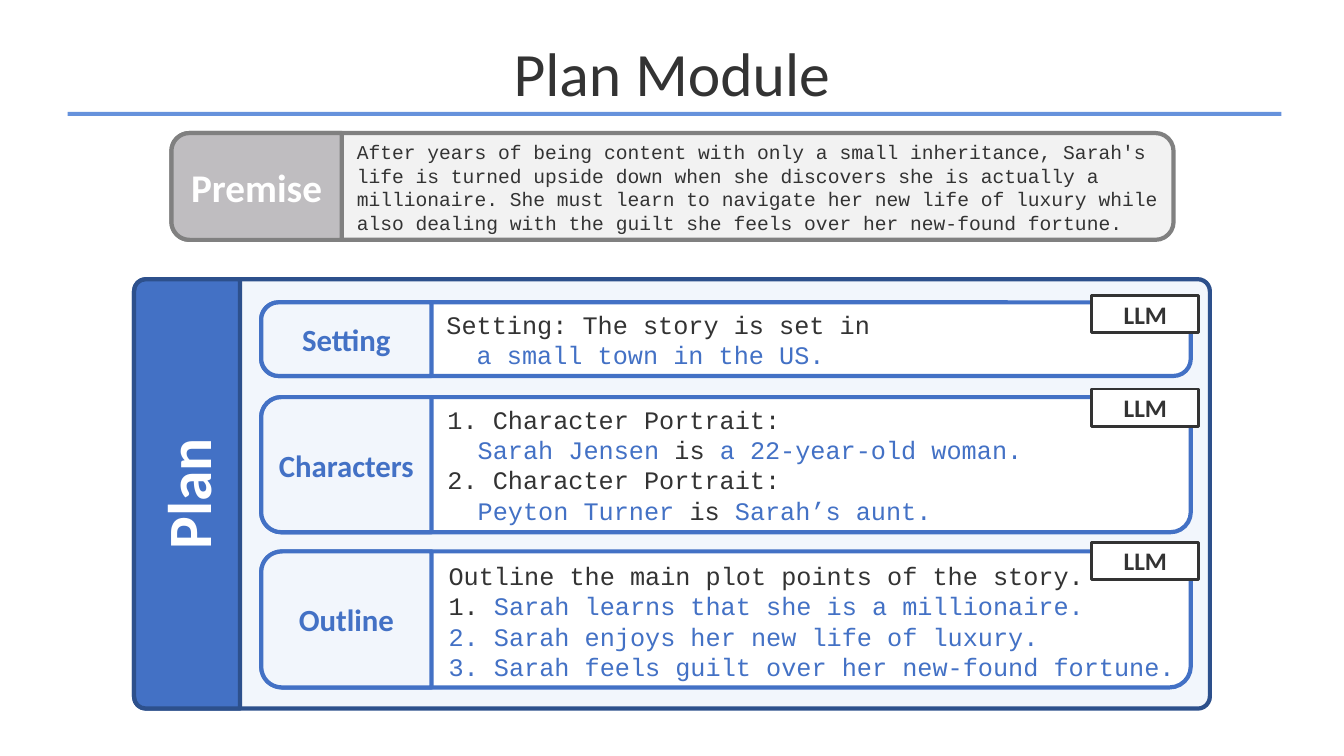
from dataclasses import dataclass

from lxml import etree
from pptx import Presentation
from pptx.dml.color import RGBColor
from pptx.enum.shapes import MSO_SHAPE
from pptx.enum.text import MSO_ANCHOR, PP_ALIGN
from pptx.oxml.ns import qn
from pptx.util import Emu, Pt

RECT, ROUND = MSO_SHAPE.RECTANGLE, MSO_SHAPE.ROUNDED_RECTANGLE
TOP, MIDDLE = MSO_ANCHOR.TOP, MSO_ANCHOR.MIDDLE
LEFT, CENTER = PP_ALIGN.LEFT, PP_ALIGN.CENTER
SCALE = 9144  # EMU per px, 100 px to the inch


@dataclass(frozen=True)
class Theme:
    ink: str = "333333"
    white: str = "FFFFFF"
    blue: str = "4371C5"
    navy: str = "2D508C"
    pale: str = "F2F6FC"
    rule: str = "6692DC"
    gray: str = "808080"
    silver: str = "BFBDC0"
    mist: str = "F2F2F2"
    sans: str = "Calibri"
    mono: str = "Courier New"
    title: int = 44
    head: int = 28
    label: int = 22
    body: int = 18
    small: int = 14


THEME = Theme()


def px(*values):
    return [Emu(v * SCALE) for v in values]


def write(frame, lines, size, color=THEME.ink, font=THEME.sans, bold=False,
          align=CENTER, anchor=MIDDLE):
    """Each line is a string, or (indent in px, [(text, color), ...])."""
    frame.word_wrap = True
    frame.vertical_anchor = anchor
    for i, line in enumerate(lines):
        indent, runs = (0, [(line, color)]) if isinstance(line, str) else line
        para = frame.paragraphs[0] if i == 0 else frame.add_paragraph()
        para.alignment = align
        if indent:
            para._p.get_or_add_pPr().set("marL", str(indent * SCALE))
        for text, tint in runs:
            run = para.add_run()
            run.text = text
            run.font.name = font
            run.font.size = Pt(size)
            run.font.bold = bold
            run.font.color.rgb = RGBColor.from_string(tint)


def bend(line, *guides):
    """Turn a straight path segment into a curve with two guide points."""
    line.tag = qn("a:cubicBezTo")
    for i, (x, y) in enumerate(guides):
        line.insert(i, etree.Element(qn("a:pt"), x=str(x), y=str(y)))


class Canvas:
    def __init__(self, slide, theme):
        self.shapes = slide.shapes
        self.theme = theme

    def paint(self, shape, fill, line=None, width=3):
        shape.shadow.inherit = False
        shape.fill.solid()
        shape.fill.fore_color.rgb = RGBColor.from_string(fill)
        if line:
            shape.line.color.rgb = RGBColor.from_string(line)
            shape.line.width = Pt(width)
        else:
            shape.line.fill.background()
        return shape

    def box(self, x, y, w, h, fill, line=None, width=3, radius=0):
        shape = self.shapes.add_shape(ROUND if radius else RECT, *px(x, y, w, h))
        if radius:
            shape.adjustments[0] = radius / min(w, h)
        return self.paint(shape, fill, line, width)

    def tab(self, x, y, w, h, radius, fill, line):
        """Block with only its left corners rounded."""
        build = self.shapes.build_freeform(x + w, y, scale=SCALE)
        build.add_line_segments([
            (x + w, y + h), (x + radius, y + h), (x, y + h - radius),
            (x, y + radius), (x + radius, y)], close=True)
        shape = build.convert_to_shape()
        sides = shape.element.xpath(".//a:lnTo")
        near = round(radius * 0.45)
        bend(sides[2], (near, h), (0, h - near))
        bend(sides[4], (0, near), (near, 0))
        return self.paint(shape, fill, line)

    def text(self, x, y, w, h, lines, size, **style):
        frame = self.shapes.add_textbox(*px(x, y, w, h)).text_frame
        write(frame, lines, size, **style)

    def code(self, x, y, w, h, lines, size):
        self.text(x, y, w, h, lines, size, font=self.theme.mono, align=LEFT,
                  anchor=TOP)

    def card(self, y, h, radius, name, lines, left, top, wide):
        t = self.theme
        self.box(259, y, 922, h, t.white, t.blue, radius=radius)
        self.code(left, top, wide, h - 3, lines, t.body)
        tab = self.tab(259, y, 169, h, radius, t.pale, t.blue)
        write(tab.text_frame, [name], t.label, color=t.blue, bold=True)

    def tag(self, y):
        t = self.theme
        shape = self.box(1083, y, 106, 37, t.white, t.ink, width=2)
        write(shape.text_frame, ["LLM"], t.body, bold=True)


def main():
    t = THEME
    deck = Presentation()
    deck.slide_width, deck.slide_height = px(1333, 750)
    page = Canvas(deck.slides.add_slide(deck.slide_layouts[6]), t)

    # Title and rule
    page.box(67, 111, 1204, 4, t.rule)
    page.text(0, 16, 1333, 110, ["Plan Module"], t.title)

    # Premise
    page.box(170, 132, 994, 106, t.mist, t.gray, radius=18)
    page.code(344, 134, 825, 104, [
        "After years of being content with only a small inheritance, Sarah's "
        "life is turned upside down when she discovers she is actually a "
        "millionaire. She must learn to navigate her new life of luxury while "
        "also dealing with the guilt she feels over her new-found fortune."],
        t.small)
    tab = page.tab(170, 132, 169, 106, 18, t.silver, t.gray)
    write(tab.text_frame, ["Premise"], t.head, color=t.white, bold=True)

    # Plan panel
    page.box(133, 277, 1067, 426, t.pale, t.navy, radius=12)
    tab = page.tab(133, 277, 105, 426, 12, t.blue, t.navy)
    write(tab.text_frame, ["Plan"], t.title, color=t.white, bold=True)
    tab.element.txBody.bodyPr.set("vert", "vert270")

    # Plan parts
    setting = [
        "Setting: The story is set in",
        (30, [("a small town in the US.", t.blue)]),
    ]
    people = [
        "1. Character Portrait:",
        (30, [("Sarah Jensen ", t.blue), ("is ", t.ink),
              ("a 22-year-old woman.", t.blue)]),
        "2. Character Portrait:",
        (30, [("Peyton Turner ", t.blue), ("is ", t.ink),
              ("Sarah’s aunt.", t.blue)]),
    ]
    outline = [
        "Outline the main plot points of the story.",
        (0, [("1. ", t.ink),
             ("Sarah learns that she is a millionaire.", t.blue)]),
        (0, [("2. Sarah enjoys her new life of luxury.", t.blue)]),
        (0, [("3. Sarah feels guilt over her new-found fortune.", t.blue)]),
    ]
    page.card(300, 73, 17, "Setting", setting, 433, 302, 715)
    page.card(394, 134, 20, "Characters", people, 434, 396, 736)
    page.card(547, 135, 21, "Outline", outline, 435, 551, 765)

    # Model tags
    for y in (293, 386, 538):
        page.tag(y)

    deck.save("out.pptx")


if __name__ == "__main__":
    main()
